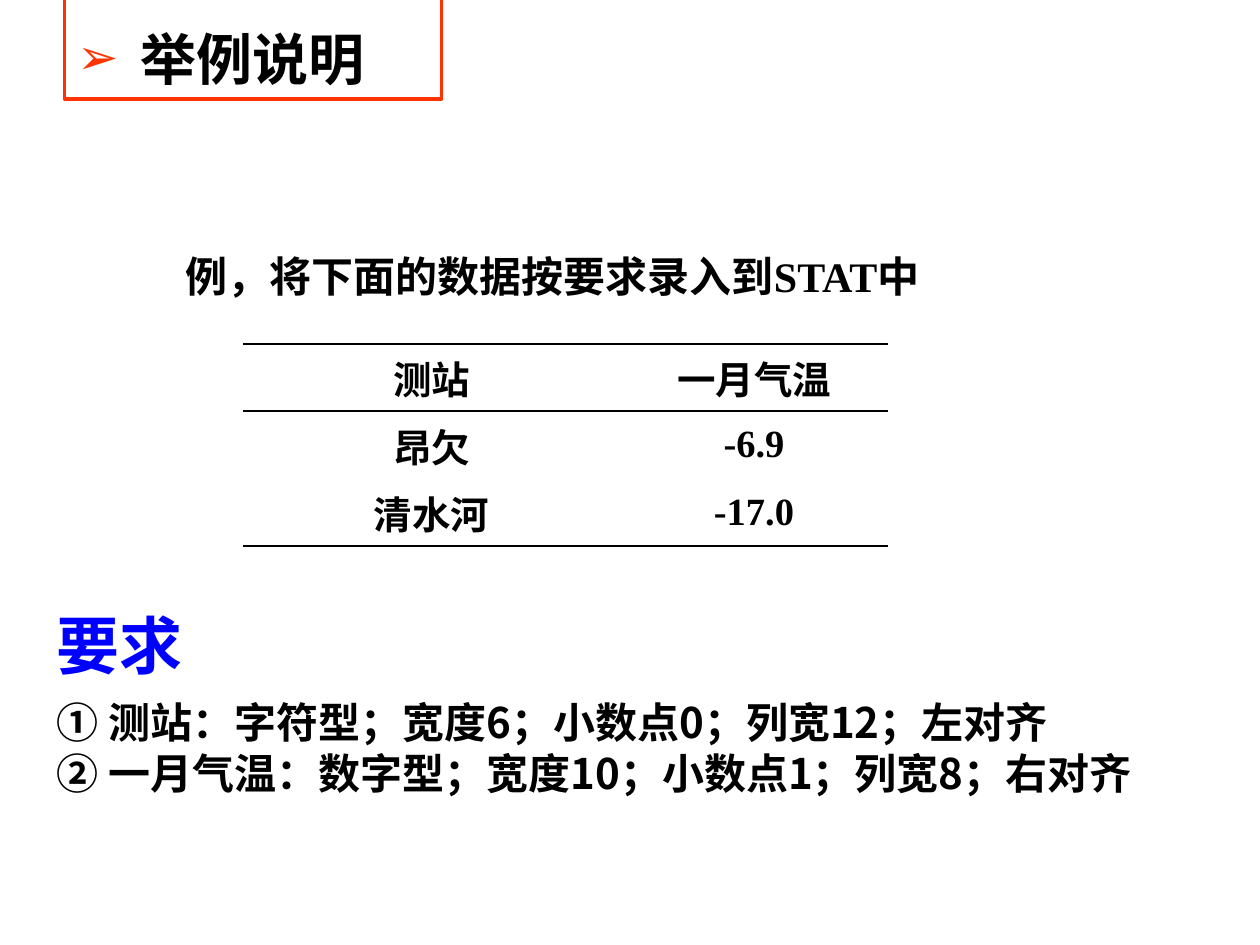
from lxml.etree import SubElement
from pptx import Presentation
from pptx.dml.color import RGBColor
from pptx.enum.shapes import MSO_SHAPE as Shape
from pptx.enum.text import MSO_ANCHOR as Anchor, PP_ALIGN as Align
from pptx.oxml import parse_xml
from pptx.oxml.ns import nsdecls, qn
from pptx.util import Cm, Pt


def color(value):
    return RGBColor.from_string(value)


class SlideWriter:
    serif = "Times New Roman"
    sans = "Noto Sans CJK SC"
    ink, accent, heading, paper = "000000", "FF3300", "0000FF", "FFFFFF"

    def __init__(self, page):
        self.page = page

    def format_para(self, para, size, font=None, ink=None, spacing=None, align=Align.LEFT):
        para.alignment = align
        if spacing:
            para.line_spacing = spacing
        for span in para.runs:
            span.font.size = Pt(size)
            span.font.name = font or self.serif
            span.font.bold = True
            span.font.color.rgb = color(ink or self.ink)

    def place(self, item, left, top, width, height):
        item.left, item.top = Cm(left), Cm(top)
        item.width, item.height = Cm(width), Cm(height)

    def title(self, text, *area):
        box = self.page.shapes.title
        self.place(box, *area)
        box.line.color.rgb = color(self.accent)
        box.line.width = Pt(2)
        box.text_frame.text = text
        box.text_frame.vertical_anchor = Anchor.MIDDLE
        para = box.text_frame.paragraphs[0]
        # Arrow bullet with a hanging indent
        props = para._p.get_or_add_pPr()
        props.set("marL", str(Cm(1.27)))
        props.set("indent", str(-Cm(1.27)))
        bullet_color = SubElement(props, qn("a:buClr"))
        SubElement(bullet_color, qn("a:srgbClr"), val=self.accent)
        SubElement(props, qn("a:buSzPct"), val="88000")
        SubElement(props, qn("a:buFont"), typeface="DejaVu Sans")
        SubElement(props, qn("a:buChar"), char="➢")
        self.format_para(para, 32, "DejaVu Sans", spacing=1.3)

    def text(self, text, *area):
        box = self.page.shapes.add_textbox(*map(Cm, area))
        box.text_frame.word_wrap = True
        box.text_frame.vertical_anchor = Anchor.MIDDLE
        box.text_frame.text = text
        self.format_para(box.text_frame.paragraphs[0], 24)

    def panel(self, heading, items, *area):
        box = self.page.shapes.add_shape(Shape.RECTANGLE, *map(Cm, area))
        box.shadow.inherit = False
        box.fill.solid()
        box.fill.fore_color.rgb = color(self.paper)
        box.line.fill.background()
        frame = box.text_frame
        frame.word_wrap = True
        frame.vertical_anchor = Anchor.MIDDLE
        frame.text = "\n".join([heading, *items])
        first, second, *rest = frame.paragraphs
        self.format_para(first, 36, ink=self.heading, spacing=1.5)
        self.format_para(second, 24, self.sans, spacing=1.3)
        for para in rest:
            self.format_para(para, 24, self.sans)

    def borders(self, cell, ruled):
        props = cell._tc.get_or_add_tcPr()
        for index, side in enumerate("LRTB"):
            if side in ruled:
                fill = f'<a:solidFill><a:srgbClr val="{self.ink}"/></a:solidFill>'
            else:
                fill = "<a:noFill/>"
            line = f'<a:ln{side} {nsdecls("a")} w="{Pt(1)}">{fill}</a:ln{side}>'
            props.insert(index, parse_xml(line))

    def table(self, rows, widths, left, top, row_height):
        frame = self.page.shapes.add_table(
            len(rows), len(widths), Cm(left), Cm(top),
            Cm(sum(widths)), Cm(row_height * len(rows)))
        grid = frame.table
        grid.first_row = grid.horz_banding = False
        for column, width in zip(grid.columns, widths):
            column.width = Cm(width)
        # Rules above and below the header, and under the last row
        rules = ["TB", "T"] + [""] * (len(rows) - 3) + ["B"]
        for row_index, row in enumerate(rows):
            for column_index, value in enumerate(row):
                cell = grid.cell(row_index, column_index)
                cell.text_frame.text = value
                cell.vertical_anchor = Anchor.MIDDLE
                cell.fill.background()
                self.format_para(cell.text_frame.paragraphs[0], 22, align=Align.CENTER)
                self.borders(cell, rules[row_index])


def main():
    deck = Presentation()
    deck.slide_width, deck.slide_height = Cm(25.4), Cm(19.05)
    writer = SlideWriter(deck.slides.add_slide(deck.slide_layouts[5]))

    # Title and introduction
    writer.title("举例说明", 1.3, -0.08, 7.6, 2.08)
    writer.text("例，将下面的数据按要求录入到STAT中", 3.5, 4.93, 15.8, 1.27)

    # Station data
    stations = [("测站", "一月气温"), ("昂欠", "-6.9"), ("清水河", "-17.0")]
    writer.table(stations, (7.6, 5.4), 4.9, 6.93, 1.36)

    # Requirements
    writer.panel("要求", [
        "① 测站：字符型；宽度6；小数点0；列宽12；左对齐",
        "② 一月气温：数字型；宽度10；小数点1；列宽8；右对齐",
    ], 0.9, 11.33, 24.5, 4.88)

    deck.save("out.pptx")


if __name__ == "__main__":
    main()
